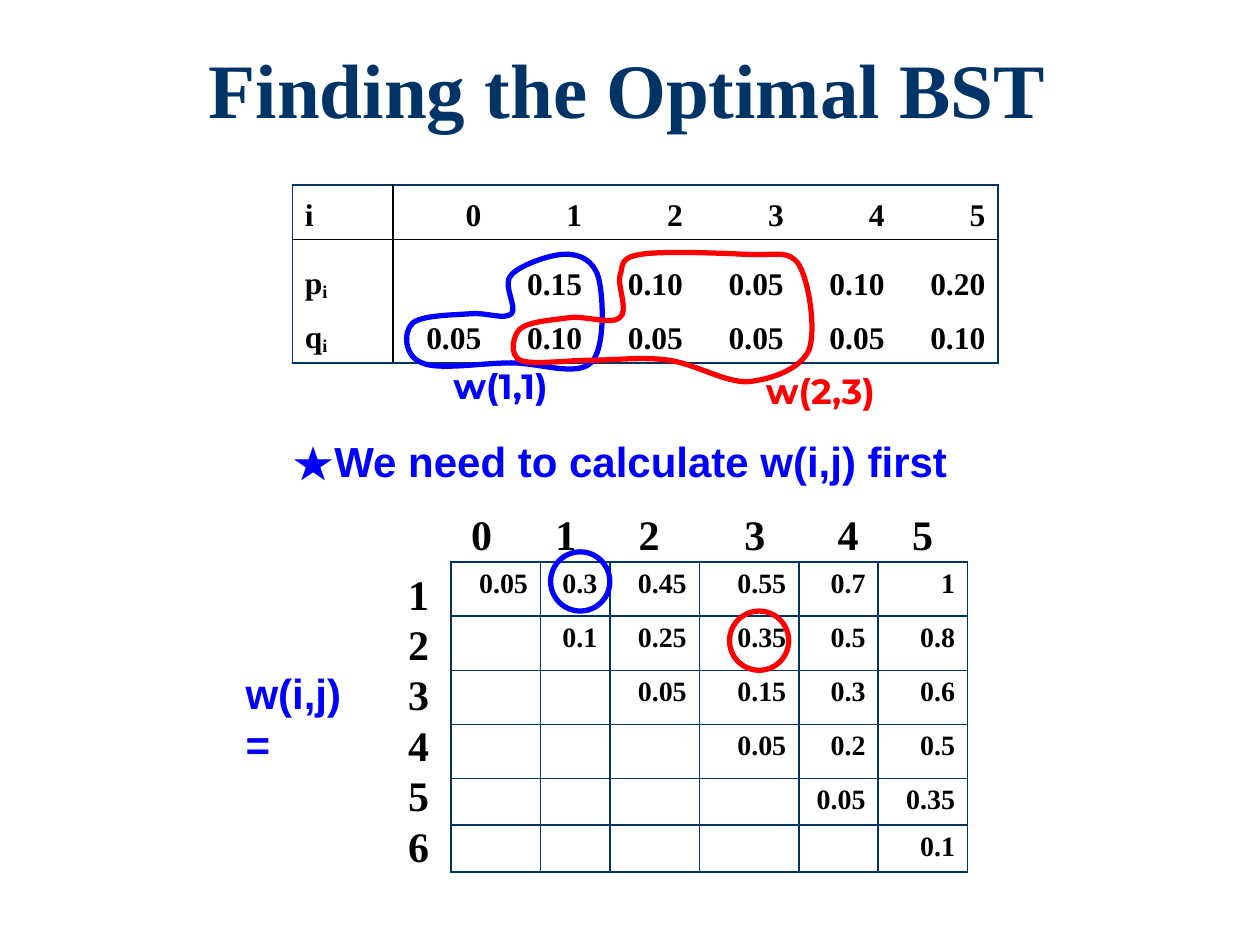
import pptx
import pptx.dml.color
import pptx.enum.shapes
import pptx.enum.text
import pptx.oxml.ns
import pptx.util
from lxml import etree

Inches, Pt = pptx.util.Inches, pptx.util.Pt
RGBColor = pptx.dml.color.RGBColor
qn = pptx.oxml.ns.qn
ALIGN = pptx.enum.text.PP_ALIGN
ANCHOR = pptx.enum.text.MSO_ANCHOR

COLORS = {"navy": "003366", "blue": "0000FF", "red": "FF0000",
          "black": "000000", "white": "FFFFFF"}
SERIF, SANS, ROUND = "Times New Roman", "Arial", "Montserrat"


def add_span(para, text, size, font=SERIF, color="black"):
    span = para.add_run()
    span.text = text
    span.font.size = Pt(size)
    span.font.name = font
    span.font.bold = True
    span.font.color.rgb = RGBColor.from_string(COLORS[color])
    return span


def set_borders(cell, borders):
    """Draw the sides named L, R, T, B in the given colours; hide the others."""
    props = cell._tc.get_or_add_tcPr()
    for side in "LRTB":
        line = etree.SubElement(props, qn(f"a:ln{side}"), w=str(Pt(1)))
        if side in borders:
            fill = etree.SubElement(line, qn("a:solidFill"))
            etree.SubElement(fill, qn("a:srgbClr"), val=COLORS[borders[side]])
        else:
            etree.SubElement(line, qn("a:noFill"))


deck = pptx.Presentation()
deck.slide_width, deck.slide_height = Inches(10), Inches(7.5)
page = deck.slides.add_slide(deck.slide_layouts[6])

# Title
box = page.shapes.add_textbox(Inches(0.98), Inches(0.36), Inches(8), Inches(0.92))
box.text_frame.word_wrap = True
para = box.text_frame.paragraphs[0]
para.alignment = ALIGN.CENTER
para.line_spacing = 0.9
add_span(para, "Finding the Optimal BST", 44, color="navy")

# Tables: the weights w(i,j), and the probabilities p and q
weights = [
    ["0.05", "0.3", "0.45", "0.55", "0.7", "1"],
    ["", "0.1", "0.25", "0.35", "0.5", "0.8"],
    ["", "", "0.05", "0.15", "0.3", "0.6"],
    ["", "", "", "0.05", "0.2", "0.5"],
    ["", "", "", "", "0.05", "0.35"],
    ["", "", "", "", "", "0.1"],
]
probabilities = [
    ["i", "0", "1", "2", "3", "4", "5"],
    ["p", "", "0.15", "0.10", "0.05", "0.10", "0.20"],
    ["q", "0.05", "0.10", "0.05", "0.05", "0.05", "0.10"],
]
tables = [
    ("weights", weights, 3.58, 4.46, [0.71, 0.55, 0.71, 0.79, 0.63, 0.71],
     [0.43] * 4 + [0.37] * 2, 16),
    ("probabilities", probabilities, 2.32, 1.47, [0.8] * 7,
     [0.43, 0.55, 0.43], 18),
]
for name, values, left, top, widths, heights, size in tables:
    frame = page.shapes.add_table(
        len(heights), len(widths), Inches(left), Inches(top),
        Inches(sum(widths)), Inches(sum(heights)))
    table = frame.table
    table.first_row = table.horz_banding = False
    for column, width in zip(table.columns, widths):
        column.width = Inches(width)
    for row, height in zip(table.rows, heights):
        row.height = Inches(height)
    last_row, last_column = len(heights) - 1, len(widths) - 1

    for r, row_values in enumerate(values):
        for c, text in enumerate(row_values):
            cell = table.cell(r, c)
            para = cell.text_frame.paragraphs[0]
            is_label = name == "probabilities" and c == 0
            para.alignment = ALIGN.LEFT if is_label else ALIGN.RIGHT
            if text:
                add_span(para, text, size)
            else:
                etree.SubElement(para._p, qn("a:endParaRPr"), sz=str(size * 100))
            if is_label and r > 0:
                subscript = add_span(para, "i", size)
                subscript.font._element.set("baseline", "-14000")

            if name == "weights":
                set_borders(cell, dict.fromkeys("LRTB", "navy"))
                cell.fill.background()
                continue
            borders = {}
            if r == 0:
                borders.update(T="navy", B="black")
            if r == 1:
                borders["T"] = "black"
            if r == last_row:
                borders["B"] = "navy"
            if c == 0:
                borders.update(L="navy", R="black")
            if c == 1:
                borders["L"] = "black"
            if c == last_column:
                borders["R"] = "navy"
            set_borders(cell, borders)
            cell.vertical_anchor = ANCHOR.BOTTOM
            cell.fill.solid()
            cell.fill.fore_color.rgb = RGBColor.from_string(COLORS["white"])

# Labels: place, then paragraphs made of (text, font) spans
labels = [
    (2.22, 3.41, 5.4, 0.5, 24, "blue",
     [[("★", SERIF), ("We need to calculate w(i,j) first", SANS)]]),
    (1.85, 5.25, 1.15, 0.5, 24, "blue", [[("w(i,j)=", SANS)]]),
    (3.14, 4.46, 0.37, 2.5, 24, "black", [[(n, SERIF)] for n in "123456"]),
    (3.64, 3.99, 3.87, 0.5, 24, "black", [[("\t".join("012345"), SERIF)]]),
    (3.5, 2.84, 1.14, 0.43, 20, "blue", [[("w(1,1)", ROUND)]]),
    (5.98, 2.88, 1.14, 0.43, 20, "red", [[("w(2,3)", ROUND)]]),
]
header_tabs = [0.67, 1.33, 2.17, 2.91, 3.5]
for left, top, width, height, size, color, paragraphs in labels:
    box = page.shapes.add_textbox(
        Inches(left), Inches(top), Inches(width), Inches(height))
    box.text_frame.word_wrap = False
    for index, spans in enumerate(paragraphs):
        para = (box.text_frame.add_paragraph() if index
                else box.text_frame.paragraphs[0])
        for text, font in spans:
            add_span(para, text, size, font, color)
            if "\t" in text:
                stops = etree.SubElement(para._p.get_or_add_pPr(), qn("a:tabLst"))
                for stop in header_tabs:
                    etree.SubElement(stops, qn("a:tab"), pos=str(Inches(stop)), algn="l")

# Circles around the weights, loops around the terms they add up
outlines = []
for left, top, color in [(5.79, 4.85, "red"), (4.37, 4.38, "blue")]:
    circle = page.shapes.add_shape(
        pptx.enum.shapes.MSO_SHAPE.OVAL,
        Inches(left), Inches(top), Inches(0.47), Inches(0.47))
    outlines.append((circle, color))

# Each loop is a start point, then three Bezier points per curve
loops = [
    ("blue", [
        (3.27, 2.57),
        (3.33, 2.5), (3.61, 2.5), (3.74, 2.49),
        (3.87, 2.48), (4, 2.54), (4.06, 2.49),
        (4.11, 2.44), (3.98, 2.25), (4.06, 2.18),
        (4.13, 2.1), (4.41, 2), (4.53, 2.02),
        (4.65, 2.03), (4.74, 2.11), (4.76, 2.25),
        (4.79, 2.4), (4.8, 2.78), (4.69, 2.88),
        (4.57, 2.99), (4.28, 2.88), (4.06, 2.88),
        (3.83, 2.88), (3.48, 2.94), (3.35, 2.88),
        (3.21, 2.83), (3.2, 2.64), (3.27, 2.57)]),
    ("red", [
        (4.13, 2.61),
        (4.2, 2.55), (4.4, 2.54), (4.53, 2.52),
        (4.66, 2.51), (4.86, 2.58), (4.92, 2.52),
        (4.99, 2.47), (4.9, 2.27), (4.92, 2.19),
        (4.95, 2.11), (4.91, 2.05), (5.08, 2.02),
        (5.25, 1.99), (5.73, 2.01), (5.94, 2.02),
        (6.15, 2.03), (6.26, 1.98), (6.34, 2.1),
        (6.42, 2.23), (6.48, 2.62), (6.42, 2.78),
        (6.35, 2.93), (6.13, 3.01), (5.94, 3.03),
        (5.76, 3.04), (5.52, 2.89), (5.31, 2.86),
        (5.1, 2.83), (4.88, 2.86), (4.69, 2.86),
        (4.49, 2.86), (4.23, 2.9), (4.13, 2.86),
        (4.04, 2.82), (4.07, 2.66), (4.13, 2.61)]),
]
for color, points in loops:
    start, *rest = [(Inches(x), Inches(y)) for x, y in points]
    builder = page.shapes.build_freeform(*start)
    builder.add_line_segments(rest, close=True)
    loop = builder.convert_to_shape()
    segments = list(loop._element.iter(qn("a:lnTo")))
    for first in range(0, len(rest), 3):
        curve = etree.Element(qn("a:cubicBezTo"))
        segments[first].addprevious(curve)
        for segment in segments[first:first + 3]:
            curve.append(segment[0])
            segment.getparent().remove(segment)
    outlines.append((loop, color))

for shape, color in outlines:
    shape.shadow.inherit = False
    shape.fill.background()
    shape.line.color.rgb = RGBColor.from_string(COLORS[color])
    shape.line.width = Pt(3)

deck.save("out.pptx")
